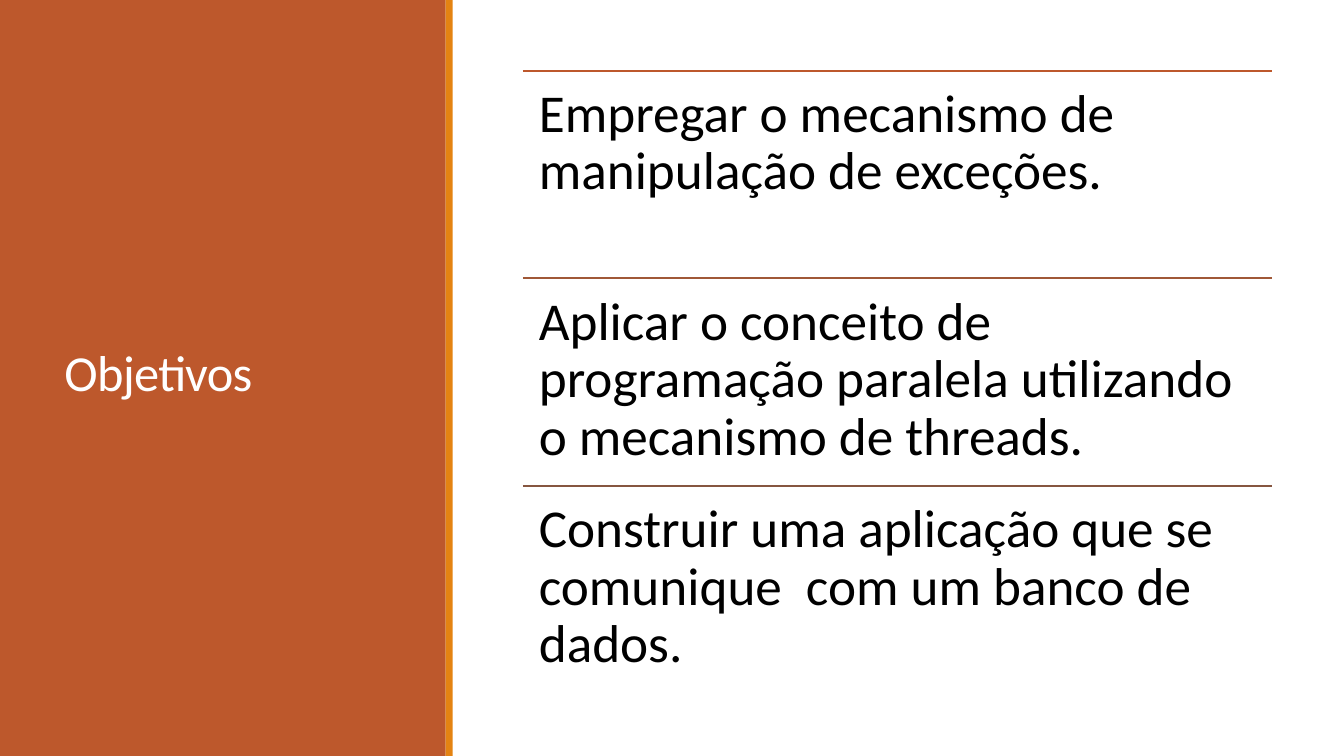
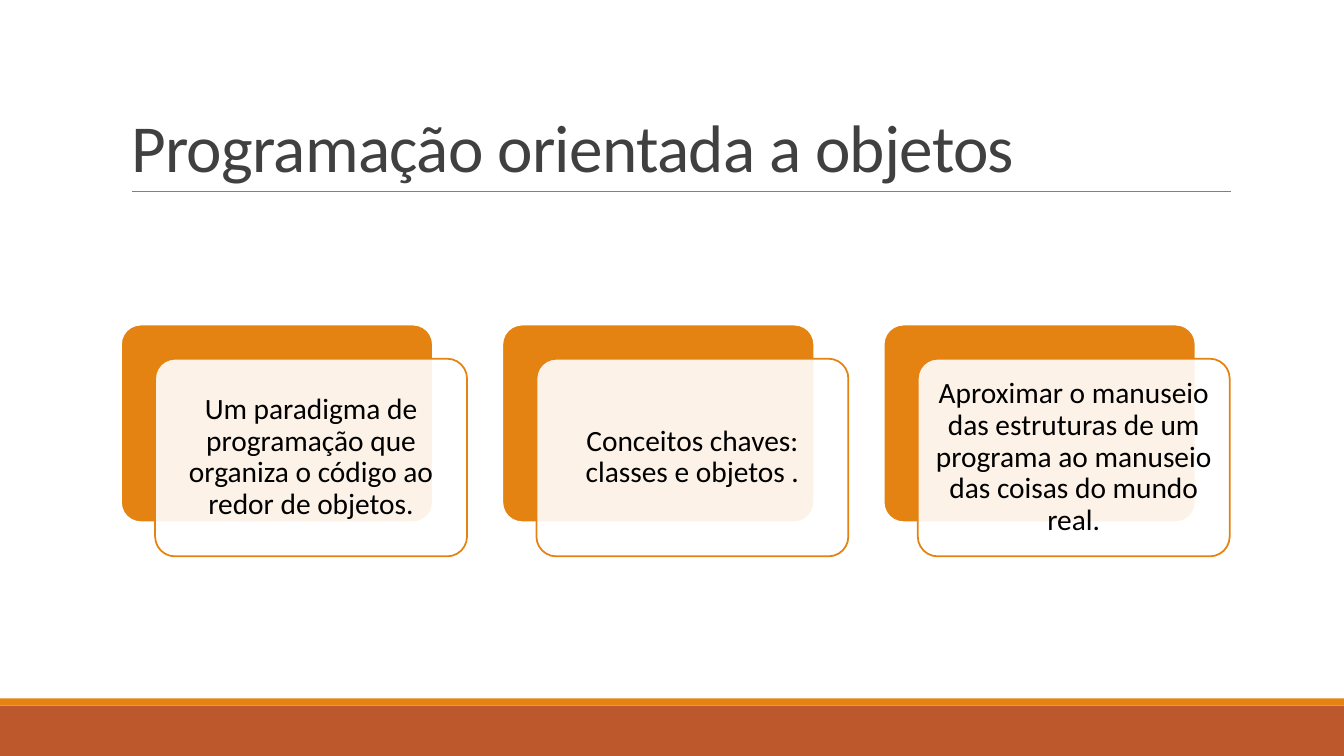
from collections import namedtuple

from lxml.etree import SubElement
from pptx import Presentation
from pptx.dml.color import RGBColor
from pptx.enum.shapes import MSO_CONNECTOR, MSO_SHAPE
from pptx.enum.text import MSO_ANCHOR, MSO_AUTO_SIZE, PP_ALIGN
from pptx.oxml.ns import qn
from pptx.util import Cm, Pt

# Shared look; all lengths are in centimetres
Box = namedtuple("Box", "left top width height")
SLIDE_WIDTH, SLIDE_HEIGHT = 33.87, 19.05
STRIP_SIZE = 0.18
FONT = "Calibri"
RUST, ORANGE, WHITE, BLACK = "BD582C", "E48312", "FFFFFF", "000000"
TITLE_GRAY, RULE_GRAY = "404040", "808080"

OBJECTIVES = [
    ("Empregar o mecanismo de manipulação de exceções.", RUST),
    ("Aplicar o conceito de programação paralela utilizando o mecanismo "
     "de threads.", "A05837"),
    ("Construir uma aplicação que se comunique  com um banco de dados.",
     "865640"),
]
CONCEPTS = [
    "Um paradigma de programação que organiza o código ao redor de objetos.",
    "Conceitos chaves: classes e objetos .",
    "Aproximar o manuseio das estruturas de um programa ao manuseio das "
    "coisas do mundo real.",
]


def color(hex_value):
    return RGBColor.from_string(hex_value)


def lengths(box):
    return [Cm(value) for value in box]


def write(shape, text, size, hex_value, anchor, inset=None, spacing=0.9,
          align=PP_ALIGN.LEFT):
    """Fill a shape with one formatted paragraph and return its run."""
    frame = shape.text_frame
    frame.word_wrap = True
    frame.auto_size = MSO_AUTO_SIZE.NONE
    frame.vertical_anchor = anchor
    if inset is not None:
        frame.margin_left = frame.margin_right = Cm(inset)
        frame.margin_top = frame.margin_bottom = Cm(inset)
    paragraph = frame.paragraphs[0]
    paragraph.alignment = align
    paragraph.line_spacing = spacing
    run = paragraph.add_run()
    run.text = text
    run.font.name = FONT
    run.font.size = Pt(size)
    run.font.color.rgb = color(hex_value)
    return run


def add_title(slide, box, text, size, hex_value, anchor):
    title = slide.shapes.title
    title.left, title.top, title.width, title.height = lengths(box)
    run = write(title, text, size, hex_value, anchor, spacing=0.85)
    run._r.get_or_add_rPr().set("spc", "-50")
    # Bring the title in front of the bands
    title.element.getparent().append(title.element)


def add_block(slide, box, fill, line=None, kind=MSO_SHAPE.RECTANGLE):
    shape = slide.shapes.add_shape(kind, *lengths(box))
    shape.shadow.inherit = False
    shape.fill.solid()
    shape.fill.fore_color.rgb = color(fill)
    if line:
        shape.line.color.rgb = color(line)
        shape.line.width = Pt(1.25)
    else:
        shape.line.fill.background()
    return shape


def add_band(slide, band, strip):
    """Rust band with its orange edge strip."""
    add_block(slide, band, RUST)
    add_block(slide, strip, ORANGE)


def add_rule(slide, left, top, width, hex_value, weight):
    rule = slide.shapes.add_connector(
        MSO_CONNECTOR.STRAIGHT, Cm(left), Cm(top), Cm(left + width), Cm(top))
    rule.line.color.rgb = color(hex_value)
    rule.line.width = Pt(weight)
    SubElement(rule.element.spPr, qn("a:effectLst"))


def add_ruled_list(slide, box, items):
    """Equal rows, each under a coloured rule."""
    row_height = box.height / len(items)
    for index, (text, rule_color) in enumerate(items):
        row = box._replace(top=box.top + index * row_height, height=row_height)
        add_rule(slide, row.left, row.top, row.width, rule_color, 1.25)
        text_box = slide.shapes.add_textbox(*lengths(row))
        write(text_box, text, 38, BLACK, MSO_ANCHOR.TOP, inset=0.4)


def add_card(slide, box, text, offset):
    """Orange card with a translucent text card shifted over it."""
    width, height = box.width - offset, box.height - offset
    back_box = Box(box.left, box.top, width, height)
    front_box = Box(box.left + offset, box.top + offset, width, height)
    rounded = MSO_SHAPE.ROUNDED_RECTANGLE
    back = add_block(slide, back_box, ORANGE, WHITE, rounded)
    front = add_block(slide, front_box, WHITE, ORANGE, rounded)
    for card in (back, front):
        card.adjustments[0] = 0.1
    fill_color = front.element.spPr.find(qn("a:solidFill")).find(qn("a:srgbClr"))
    SubElement(fill_color, qn("a:alpha")).set("val", "90000")
    write(front, text, 21, BLACK, MSO_ANCHOR.MIDDLE, inset=0.23,
          align=PP_ALIGN.CENTER)


def add_card_row(slide, box, texts, gap=0.89, offset=0.86):
    width = (box.width - gap * (len(texts) - 1)) / len(texts)
    for index, text in enumerate(texts):
        card_box = box._replace(left=box.left + index * (width + gap),
                                width=width)
        add_card(slide, card_box, text, offset)


def add_slide(presentation):
    title_only = presentation.slide_layouts[5]
    return presentation.slides.add_slide(title_only)


def build_objectives(presentation):
    slide = add_slide(presentation)
    panel_width = 11.23
    add_band(slide, Box(0, 0, panel_width, SLIDE_HEIGHT),
             Box(panel_width, 0, STRIP_SIZE, SLIDE_HEIGHT))
    add_title(slide, Box(1.37, 1.45, 8.56, 16.03), "Objetivos", 36, WHITE,
              MSO_ANCHOR.MIDDLE)
    add_ruled_list(slide, Box(13.18, 1.78, 18.87, 15.7), OBJECTIVES)


def build_concepts(presentation):
    slide = add_slide(presentation)
    footer_top = 17.78
    add_band(slide, Box(0, footer_top, SLIDE_WIDTH, SLIDE_HEIGHT - footer_top),
             Box(0, footer_top - STRIP_SIZE, SLIDE_WIDTH, STRIP_SIZE))
    add_rule(slide, 3.33, 4.82, 27.68, RULE_GRAY, 0.5)
    add_title(slide, Box(3.05, 0.79, 27.94, 4.03),
              "Programação orientada a objetos", 48, TITLE_GRAY,
              MSO_ANCHOR.BOTTOM)
    add_card_row(slide, Box(3.05, 8.18, 27.94, 5.84), CONCEPTS)


def main():
    presentation = Presentation()
    presentation.slide_width = Cm(SLIDE_WIDTH)
    presentation.slide_height = Cm(SLIDE_HEIGHT)
    build_objectives(presentation)
    build_concepts(presentation)
    presentation.save("out.pptx")


if __name__ == "__main__":
    main()
